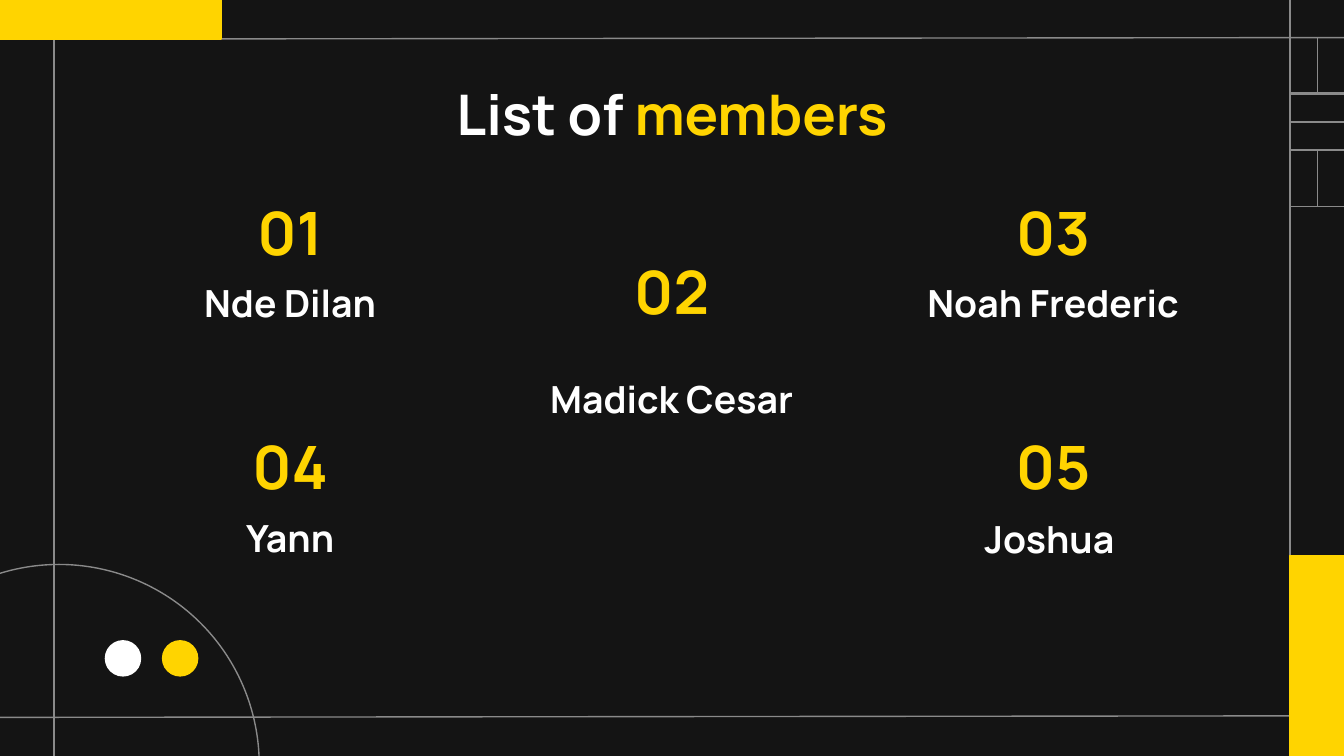
import pptx
import pptx.util
import pptx.dml.color
import pptx.enum.shapes
import pptx.enum.text
import pptx.oxml

Cm = pptx.util.Cm
Pt = pptx.util.Pt
RGBColor = pptx.dml.color.RGBColor
Shape = pptx.enum.shapes.MSO_SHAPE
Anchor = pptx.enum.text.MSO_ANCHOR

DARK = RGBColor(0x14, 0x14, 0x14)
GREY = RGBColor(0x8A, 0x8A, 0x8A)
GOLD = RGBColor(0xFF, 0xD4, 0x00)
WHITE = RGBColor(0xFF, 0xFF, 0xFF)
WIDE, HIGH = 25.4, 14.29
LEFT, RIGHT = 1.02, 24.38
EFFECT = '<a:effectLst xmlns:a="http://schemas.openxmlformats.org/drawingml/2006/main"/>'

deck = pptx.Presentation()
deck.slide_width, deck.slide_height = Cm(WIDE), Cm(HIGH)
slide = deck.slides.add_slide(deck.slide_layouts[5])
slide.background.fill.solid()
slide.background.fill.fore_color.rgb = DARK


def write(text, box, place, size=20, color=WHITE, anchor=Anchor.MIDDLE):
    box.left, box.top, box.width, box.height = [Cm(n) for n in place]
    frame = box.text_frame
    frame.word_wrap = True
    frame.auto_size = pptx.enum.text.MSO_AUTO_SIZE.NONE
    frame.vertical_anchor = anchor
    frame.margin_left = frame.margin_right = Cm(0.25)
    frame.margin_top = frame.margin_bottom = Cm(0.25)
    para = frame.paragraphs[0]
    para.alignment = pptx.enum.text.PP_ALIGN.CENTER
    run = para.add_run()
    run.text = text
    run.font.name = "Manrope"
    run.font.size = Pt(size)
    run.font.bold = True
    run.font.color.rgb = color


def draw(kind, place, fill=None, line=None):
    shape = slide.shapes.add_shape(kind, *[Cm(n) for n in place])
    shape.shadow.inherit = False
    if fill is None:
        shape.fill.background()
    else:
        shape.fill.solid()
        shape.fill.fore_color.rgb = fill
    if line is None:
        shape.line.fill.background()
    else:
        shape.line.color.rgb = line
        shape.line.width = Pt(0.75)


side, step, top = 1.05, 1.07, 0.71
mid = RIGHT + side / 2
lines = [
    (0, 0.74, WIDE, 0.71),
    (0, 13.56, WIDE, 13.53),
    (LEFT, 0, LEFT, HIGH),
    (RIGHT, 0, RIGHT, HIGH),
    (RIGHT, top + step + side / 2, WIDE, top + step + side / 2),
]
for row in range(3):
    y = top + row * step
    draw(Shape.RECTANGLE, (RIGHT, y, side, side), line=GREY)
    if row != 1:
        lines.append((mid, y, mid, y + side))

for ends in lines:
    line = slide.shapes.add_connector(
        pptx.enum.shapes.MSO_CONNECTOR.STRAIGHT, *[Cm(n) for n in ends])
    line.line.color.rgb = GREY
    line.line.width = Pt(0.75)
    line._element.spPr.append(pptx.oxml.parse_xml(EFFECT))

draw(Shape.RECTANGLE, (RIGHT, 10.5, 1.02, HIGH - 10.5), GOLD, GOLD)
draw(Shape.RECTANGLE, (0, 0, 4.18, 0.74), GOLD, GOLD)
draw(Shape.OVAL, (-2.67, 10.67, 7.57, 7.57), line=GREY)
for x, color in ((1.98, WHITE), (3.06, GOLD)):
    draw(Shape.OVAL, (x, 12.1, 0.69, 0.69), color)

title = slide.shapes.title
for text, color in (("List of ", WHITE), ("members", GOLD)):
    write(text, title, (2, 1.25, 21.4, 1.6), size=30, color=color, anchor=Anchor.TOP)

members = [
    ("Nde Dilan", 0, 3.76, 5.05),
    ("Madick Cesar", 1, 4.88, 6.86),
    ("Noah Frederic", 2, 3.76, 5.05),
    ("Yann", 0, 8.18, 9.49),
    ("Joshua ", 2, 8.18, 9.5),
]
for count, (name, col, high, low) in enumerate(members, 1):
    x = 2.41 + col * 7.21
    for text, place, size, color, anchor in (
        (f"{count:02}", (x + 2.1, high, 1.95, 1.24), 32, GOLD, Anchor.MIDDLE),
        (name, (x, low, 6.15, 1.35), 20, WHITE, Anchor.BOTTOM),
    ):
        box = slide.shapes.add_textbox(0, 0, 0, 0)
        write(text, box, place, size=size, color=color, anchor=anchor)

deck.save("out.pptx")
